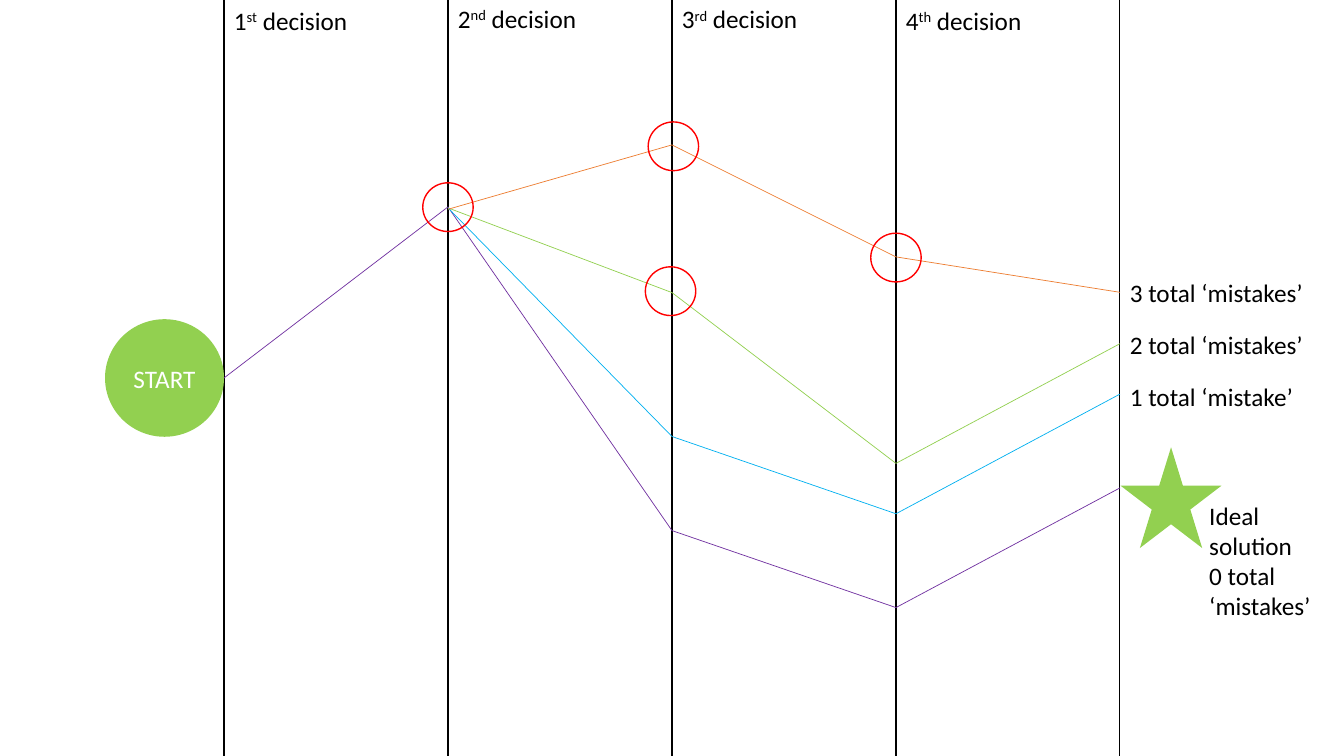
from itertools import pairwise

from lxml.etree import SubElement
from pptx import Presentation
from pptx.dml.color import RGBColor
from pptx.enum.shapes import MSO_CONNECTOR as Line, MSO_SHAPE as Preset
from pptx.enum.text import MSO_ANCHOR as Anchor, MSO_AUTO_SIZE as Fit, PP_ALIGN as Align
from pptx.oxml.ns import qn
from pptx.util import Pt

WIDTH, HEIGHT = 960, 540
COLUMNS, ROWS = 6, 8
STEP = WIDTH / COLUMNS
PLAIN_TABLE = "{2D5ABB26-0587-4C30-8999-92F81FD0307C}"
BLACK, WHITE, RED = "000000", "FFFFFF", "FF0000"
GREEN, PURPLE, BLUE, ORANGE = "92D050", "7030A0", "00B0F0", "ED7D31"

ORDINALS = [("1", "st", 0), ("2", "nd", -1.2), ("3", "rd", -1), ("4", "th", 0)]
BRANCHES = [
    (PURPLE, 1, [270, 147.8, 379, 434, 348.5]),
    (BLUE, 2, [148.5, 311.8, 367, 281.5]),
    (GREEN, 2, [148.5, 209, 331, 245.5]),
    (ORANGE, 2, [149.5, 103.5, 183.5, 208.8]),
]
MISTAKES = [(320, 148), (479, 208), (481, 104.5), (640, 184)]
OUTCOMES = ["3 total ‘mistakes’", "2 total ‘mistakes’", "1 total ‘mistake’"]


def color(value):
    return RGBColor.from_string(value)


def points(*lengths):
    return [Pt(length) for length in lengths]


def write(frame, paragraphs, ink=BLACK, size=18, align=Align.LEFT):
    for index, pieces in enumerate(paragraphs):
        paragraph = frame.paragraphs[0] if index == 0 else frame.add_paragraph()
        paragraph.alignment = align
        for words, raised in pieces:
            run = paragraph.add_run()
            run.text = words
            run.font.name = "Calibri"
            run.font.size = Pt(size)
            run.font.color.rgb = color(ink)
            if raised:
                run._r.get_or_add_rPr().set("baseline", "30000")


def add_label(slide, box, paragraphs, wrap=False):
    frame = slide.shapes.add_textbox(*points(*box)).text_frame
    frame.word_wrap = wrap
    frame.auto_size = Fit.SHAPE_TO_FIT_TEXT
    write(frame, paragraphs)


def add_mark(slide, preset, box, fill=None, outline=None):
    mark = slide.shapes.add_shape(preset, *points(*box))
    mark.shadow.inherit = False
    if fill:
        mark.fill.solid()
        mark.fill.fore_color.rgb = color(fill)
    else:
        mark.fill.background()
    if outline:
        mark.line.color.rgb = color(outline)
        mark.line.width = Pt(1)
    else:
        mark.line.fill.background()
    return mark


def add_border(cell, side):
    border = SubElement(cell._tc.get_or_add_tcPr(), qn(f"a:{side}"), w=str(Pt(1)))
    ink = SubElement(border, qn("a:solidFill"))
    SubElement(ink, qn("a:srgbClr"), val=BLACK)


def add_stages(slide, left, top, width, height):
    stages = slide.shapes.add_table(ROWS, COLUMNS, *points(left, top, width, height)).table
    stages.first_row = stages.horz_banding = False
    stages._tbl.tblPr.find(qn("a:tableStyleId")).text = PLAIN_TABLE
    for row in stages.rows:
        for column, cell in enumerate(row.cells):
            if column > 0:
                add_border(cell, "lnL")
            if column < COLUMNS - 1:
                add_border(cell, "lnR")
            cell.fill.background()
    for stage, (number, suffix, shift) in enumerate(ORDINALS, 1):
        heading = [(number, False), (suffix, True), (" decision", False)]
        add_label(slide, (left + stage * STEP, top + shift, 99, 29), [heading])


def add_branch(slide, left, top, ink, first, heights):
    stops = [(left + (first + i) * STEP, top + y) for i, y in enumerate(heights)]
    for start, end in pairwise(stops):
        leg = slide.shapes.add_connector(Line.STRAIGHT, *points(*start, *end))
        leg.line.color.rgb = color(ink)
        leg.line.width = Pt(0.5)
        SubElement(leg._element.spPr, qn("a:effectLst"))


def add_tree(slide, left, top):
    start = add_mark(slide, Preset.OVAL, (left + 75, top + 228, 85, 84), fill=GREEN)
    start.text_frame.vertical_anchor = Anchor.MIDDLE
    write(start.text_frame, [[("START", False)]], ink=WHITE, align=Align.CENTER)
    for branch in BRANCHES:
        add_branch(slide, left, top, *branch)
    for x, y in MISTAKES:
        add_mark(slide, Preset.OVAL, (left + x - 18, top + y - 17.4, 36, 34.8), outline=RED)


def add_outcomes(slide, left, top):
    for index, outcome in enumerate(OUTCOMES):
        add_label(slide, (left, top + index * 37.3, 139, 29), [[(outcome, False)]])
    add_mark(slide, Preset.STAR_5_POINT, (left + 0.5, top + 125, 72, 72), fill=GREEN)
    ideal = [[("Ideal solution", False)], [("0 total ‘mistakes’", False)]]
    add_label(slide, (left + 56.7, top + 159, 102.5, 94.5), ideal, wrap=True)


def main():
    deck = Presentation()
    deck.slide_width, deck.slide_height = points(WIDTH, HEIGHT)
    slide = deck.slides.add_slide(deck.slide_layouts[6])
    add_stages(slide, 0, 0, WIDTH, HEIGHT)
    add_tree(slide, 0, 0)
    add_outcomes(slide, 5 * STEP, 194.5)
    deck.save("out.pptx")


if __name__ == "__main__":
    main()
